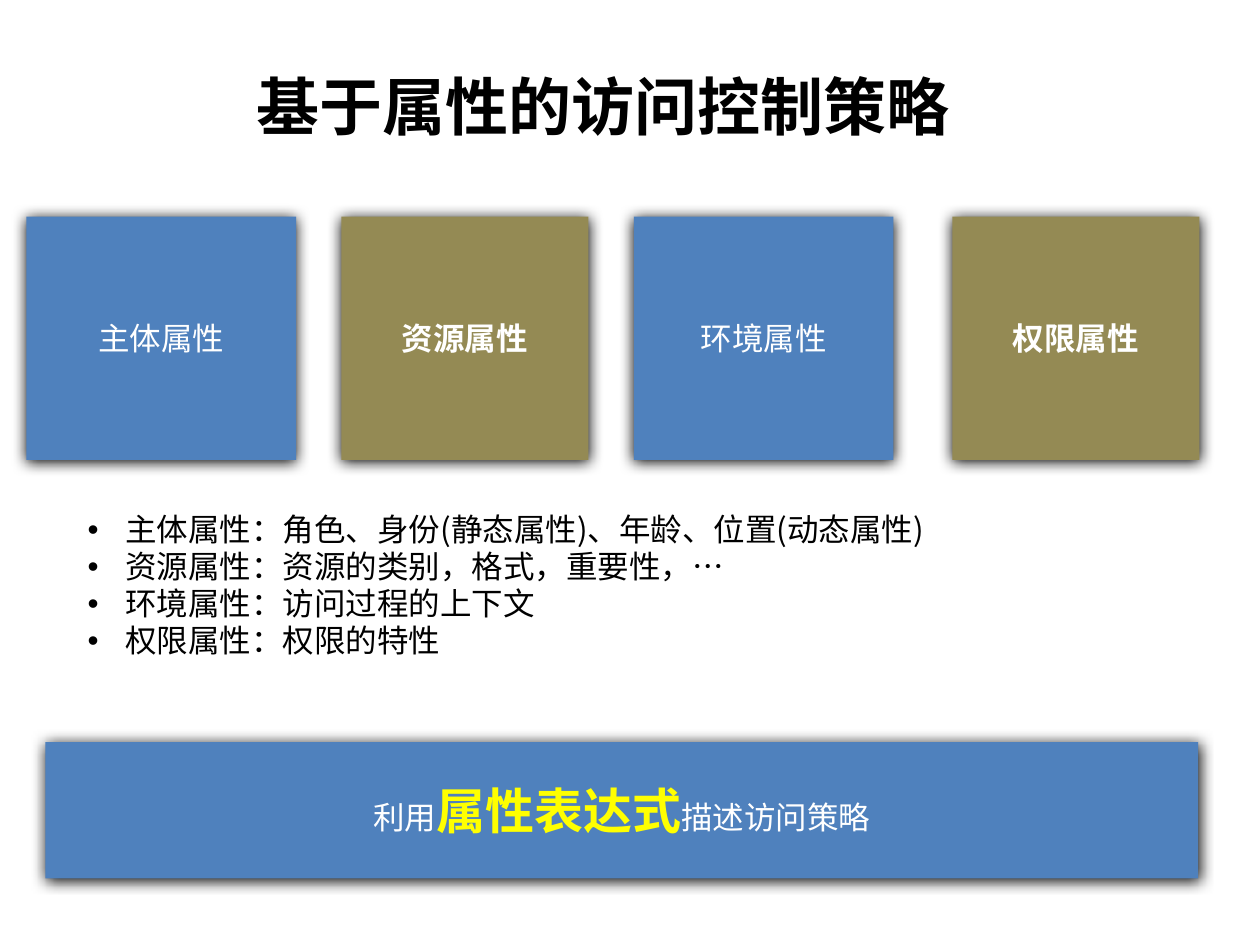
from typing import NamedTuple

import lxml.etree
import pptx
import pptx.dml.color
import pptx.enum.shapes
import pptx.enum.text
import pptx.oxml.ns
import pptx.util

Pt = pptx.util.Pt
qn = pptx.oxml.ns.qn

COLORS = {
    "black": "000000",
    "white": "FFFFFF",
    "blue": "4F81BD",
    "olive": "948A54",
    "yellow": "FFFF00",
}
CJK_FONT = "Noto Sans CJK SC"
LATIN_FONT = "Calibri"
TILE_TOP, TILE_HEIGHT = 123.8, 139


class Box(NamedTuple):
    left: float
    top: float
    width: float
    height: float


class Tile(NamedTuple):
    label: str
    left: float
    width: float
    color: str
    bold: bool


TILES = [
    Tile("主体属性", 15.1, 154.1, "blue", False),
    Tile("资源属性", 195.1, 141.1, "olive", True),
    Tile("环境属性", 362.2, 148.3, "blue", False),
    Tile("权限属性", 544.3, 141.1, "olive", True),
]
ATTRIBUTE_NOTES = [
    "主体属性：角色、身份(静态属性)、年龄、位置(动态属性)",
    "资源属性：资源的类别，格式，重要性，…",
    "环境属性：访问过程的上下文",
    "权限属性：权限的特性",
]


def rgb(color: str) -> pptx.dml.color.RGBColor:
    return pptx.dml.color.RGBColor.from_string(COLORS[color])


def style_paragraph(paragraph, size: float, color: str, latin: str, bold: bool = False) -> None:
    font = paragraph.font
    font.size, font.bold = Pt(size), bold
    font.color.rgb = rgb(color)
    font.name = latin
    defaults = paragraph._p.pPr.find(qn("a:defRPr"))
    lxml.etree.SubElement(defaults, qn("a:ea"), typeface=CJK_FONT)


def add_text_frame(slide, box: Box):
    frame = slide.shapes.add_textbox(*map(Pt, box)).text_frame
    frame.word_wrap = True
    return frame


def add_bullet(paragraph, indent: float, hang: float) -> None:
    properties = paragraph._p.get_or_add_pPr()
    properties.set("marL", str(Pt(indent)))
    properties.set("indent", str(-Pt(hang)))
    bullet_font = lxml.etree.Element(qn("a:buFont"), typeface="Arial")
    bullet = lxml.etree.Element(qn("a:buChar"), char="•")
    defaults = properties.find(qn("a:defRPr"))
    defaults.addprevious(bullet_font)
    defaults.addprevious(bullet)


def add_soft_shadow(shape) -> None:
    shape.shadow.inherit = False
    effects = shape._element.spPr.find(qn("a:effectLst"))
    shadow = lxml.etree.SubElement(
        effects, qn("a:outerShdw"), blurRad=str(Pt(8.5)), dist=str(Pt(1)),
        dir=str(90 * 60000), rotWithShape="0")
    lxml.etree.SubElement(shadow, qn("a:srgbClr"), val=COLORS["black"])


def add_panel(slide, box: Box, color: str, bold: bool = False):
    """Draw a shadowed rectangle and return its centred, styled paragraph."""
    panel = slide.shapes.add_shape(
        pptx.enum.shapes.MSO_SHAPE.RECTANGLE, *map(Pt, box))
    panel.fill.solid()
    panel.fill.fore_color.rgb = rgb(color)
    panel.line.fill.background()
    add_soft_shadow(panel)
    frame = panel.text_frame
    frame.vertical_anchor = pptx.enum.text.MSO_ANCHOR.MIDDLE
    paragraph = frame.paragraphs[0]
    paragraph.alignment = pptx.enum.text.PP_ALIGN.CENTER
    style_paragraph(paragraph, 18, "white", LATIN_FONT, bold)
    return paragraph


def add_title(slide) -> None:
    frame = add_text_frame(slide, Box(15.1, 30.2, 658.8, 59.8))
    frame.vertical_anchor = pptx.enum.text.MSO_ANCHOR.MIDDLE
    title = frame.paragraphs[0]
    title.alignment = pptx.enum.text.PP_ALIGN.CENTER
    style_paragraph(title, 36, "black", CJK_FONT, bold=True)
    title.add_run().text = "基于属性的访问控制策略"


def add_attribute_notes(slide) -> None:
    frame = add_text_frame(slide, Box(15.1, 290.2, 620.6, 113.8))
    for index, note in enumerate(ATTRIBUTE_NOTES):
        paragraph = frame.add_paragraph() if index else frame.paragraphs[0]
        paragraph.line_spacing = 0.9
        paragraph.space_before = Pt(1.7)
        style_paragraph(paragraph, 18, "black", CJK_FONT)
        add_bullet(paragraph, indent=49.5, hang=21.6)
        paragraph.add_run().text = note


def add_policy_banner(slide) -> None:
    banner = add_panel(slide, Box(25.9, 424.1, 658.8, 77.8), "blue")
    banner.add_run().text = "利用"
    emphasis = banner.add_run()
    emphasis.text = "属性表达式"
    emphasis.font.size, emphasis.font.bold = Pt(28), True
    emphasis.font.color.rgb = rgb("yellow")
    banner.add_run().text = "描述访问策略"


def main() -> None:
    deck = pptx.Presentation()
    deck.slide_width, deck.slide_height = Pt(720), Pt(540)
    slide = deck.slides.add_slide(deck.slide_layouts[6])
    add_title(slide)
    add_attribute_notes(slide)
    for tile in TILES:
        box = Box(tile.left, TILE_TOP, tile.width, TILE_HEIGHT)
        add_panel(slide, box, tile.color, tile.bold).add_run().text = tile.label
    add_policy_banner(slide)
    deck.save("out.pptx")


if __name__ == "__main__":
    main()
